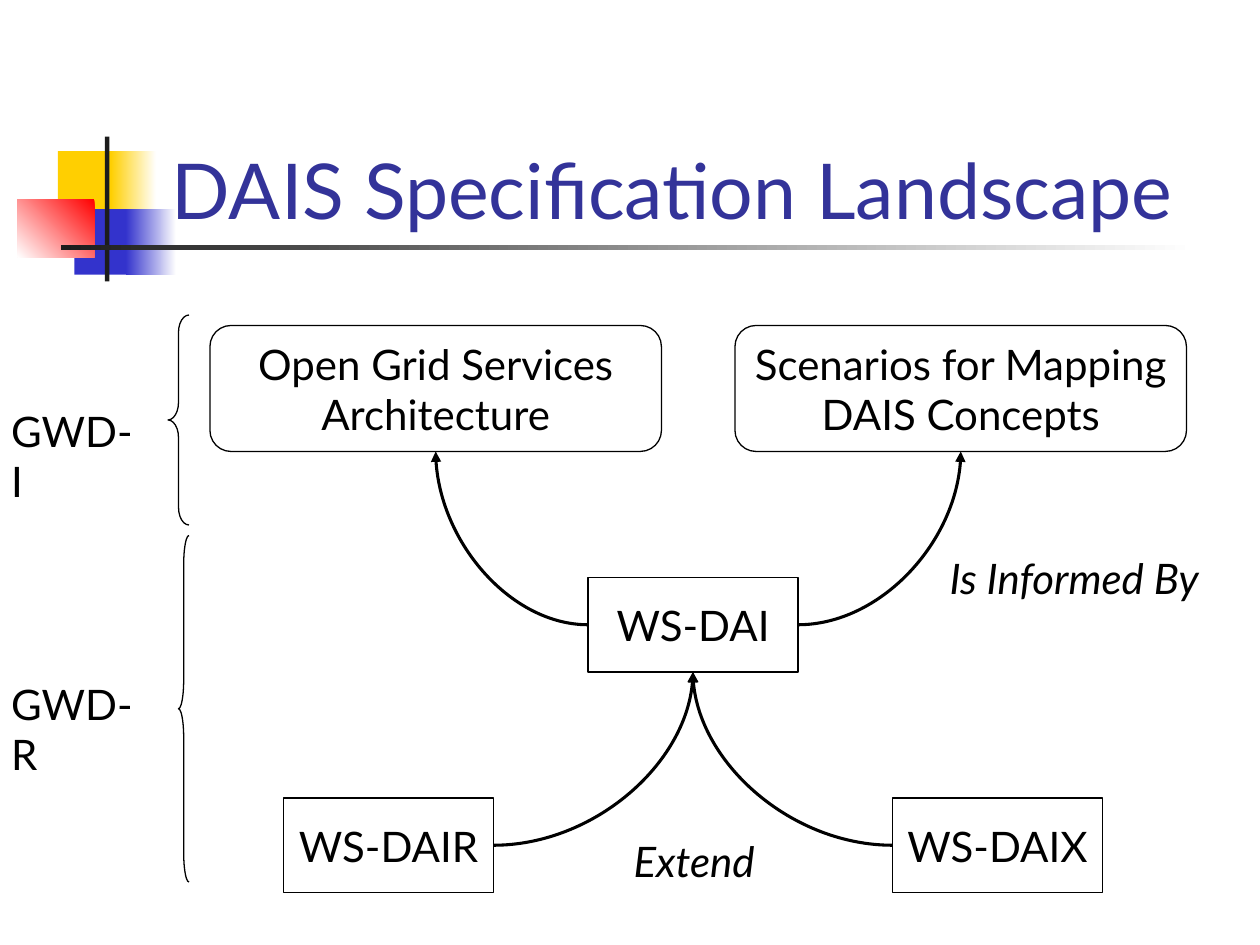
from typing import NamedTuple

from lxml import etree
from pptx import Presentation
from pptx.dml.color import RGBColor
from pptx.enum.shapes import MSO_CONNECTOR, MSO_SHAPE
from pptx.enum.text import MSO_ANCHOR, MSO_AUTO_SIZE, PP_ALIGN
from pptx.oxml.ns import qn
from pptx.util import Pt

RECT = MSO_SHAPE.RECTANGLE
ROUNDED = MSO_SHAPE.ROUNDED_RECTANGLE
BRACE = MSO_SHAPE.LEFT_BRACE
CURVE = MSO_CONNECTOR.CURVE
LEFT, CENTER = PP_ALIGN.LEFT, PP_ALIGN.CENTER
TOP, MIDDLE, BOTTOM = MSO_ANCHOR.TOP, MSO_ANCHOR.MIDDLE, MSO_ANCHOR.BOTTOM
NO_AUTOFIT = MSO_AUTO_SIZE.NONE
TITLE_ONLY = 5
SITE_LEFT, SITE_BOTTOM, SITE_RIGHT = 1, 2, 3

FONT = "Lato"
BLACK, WHITE, CHARCOAL = "000000", "FFFFFF", "1C1C1C"
YELLOW, BLUE, RED, TITLE_BLUE = "FFCF01", "3333CC", "FF0000", "333399"


class Area(NamedTuple):
    left: float
    top: float
    width: float
    height: float


class Ornament(NamedTuple):
    area: Area
    color: str
    fade_angle: int | None = None


class Node(NamedTuple):
    lines: list[str]
    area: Area
    kind: int = RECT


class Arrow(NamedTuple):
    source: str
    source_site: int
    target: str


class Label(NamedTuple):
    wording: str
    area: Area
    italic: bool = False


ORNAMENTS = [
    Ornament(Area(33.1, 86.4, 34.6, 37.4), YELLOW),
    Ornament(Area(63.4, 86.4, 25.9, 37.4), YELLOW, 0),
    Ornament(Area(42.5, 119.5, 33.1, 37.4), BLUE),
    Ornament(Area(72, 119.5, 28.8, 37.4), BLUE, 0),
    Ornament(Area(10, 113.8, 44, 33.2), RED, 225),
    Ornament(Area(60, 78, 2.5, 82.8), CHARCOAL),
    Ornament(Area(34.8, 140.2, 648, 2.5), CHARCOAL, 0),
]
NODES = {
    "architecture": Node(["Open Grid Services", "Architecture"],
                         Area(120, 186, 258, 72), ROUNDED),
    "scenarios": Node(["Scenarios for Mapping", "DAIS Concepts"],
                      Area(420, 186, 258, 72), ROUNDED),
    "core": Node(["WS-DAI"], Area(336, 330, 120, 54)),
    "relational": Node(["WS-DAIR"], Area(162, 456, 120, 54)),
    "xml": Node(["WS-DAIX"], Area(510, 456, 120, 54)),
}
ARROWS = [
    Arrow("core", SITE_RIGHT, "scenarios"),
    Arrow("core", SITE_LEFT, "architecture"),
    Arrow("relational", SITE_RIGHT, "core"),
    Arrow("xml", SITE_LEFT, "core"),
]
BRACES = [Area(96, 180, 12, 120), Area(102, 306, 6, 198)]
LABELS = [
    Label("Is Informed By", Area(535.5, 312, 170, 36), True),
    Label("Extend", Area(355, 474, 86, 36), True),
    Label("GWD-I", Area(-0.7, 228, 87, 36)),
    Label("GWD-R", Area(-0.7, 384, 94, 36)),
]


def rgb(code: str) -> RGBColor:
    return RGBColor.from_string(code)


def in_points(area: Area) -> list[Pt]:
    return [Pt(length) for length in area]


def write(frame, lines: list[str], align=LEFT, anchor=TOP, wrap=True,
          color=BLACK, **font_format) -> None:
    frame.text = "\n".join(lines)
    frame_format = {"word_wrap": wrap, "auto_size": NO_AUTOFIT,
                    "vertical_anchor": anchor}
    for name, value in frame_format.items():
        setattr(frame, name, value)
    text_format = {"name": FONT, "size": Pt(24), **font_format}
    for paragraph in frame.paragraphs:
        paragraph.alignment = align
        for name, value in text_format.items():
            setattr(paragraph.font, name, value)
        paragraph.font.color.rgb = rgb(color)


def add_ornament(slide, ornament: Ornament) -> None:
    block = slide.shapes.add_shape(RECT, *in_points(ornament.area))
    block.shadow.inherit = False
    block.line.fill.background()
    if ornament.fade_angle is None:
        block.fill.solid()
        block.fill.fore_color.rgb = rgb(ornament.color)
        return
    block.fill.gradient()
    block.fill.gradient_angle = ornament.fade_angle
    for stop, color in zip(block.fill.gradient_stops, (ornament.color, WHITE)):
        stop.color.rgb = rgb(color)


def add_outline(slide, kind: int, area: Area):
    """Add an unfilled preset shape with a thin black line."""
    outline = slide.shapes.add_shape(kind, *in_points(area))
    outline.shadow.inherit = False
    outline.fill.background()
    outline.line.color.rgb = rgb(BLACK)
    outline.line.width = Pt(0.75)
    return outline


def add_node(slide, node: Node):
    box = add_outline(slide, node.kind, node.area)
    if node.kind == ROUNDED:
        box.adjustments[0] = 0.167
    write(box.text_frame, node.lines, CENTER, MIDDLE, wrap=False)
    return box


def add_arrow(slide, arrow: Arrow, boxes: dict) -> None:
    """Draw a quarter curve from a box's side to the bottom of another."""
    curve = slide.shapes.add_connector(CURVE, 0, 0, 0, 0)
    curve.begin_connect(boxes[arrow.source], arrow.source_site)
    curve.end_connect(boxes[arrow.target], SITE_BOTTOM)
    curve.line.color.rgb = rgb(BLACK)
    curve.line.width = Pt(1.75)
    properties = curve.element.spPr
    properties.find(qn("a:prstGeom")).set("prst", "curvedConnector2")
    etree.SubElement(properties.find(qn("a:ln")), qn("a:tailEnd"), type="triangle")
    etree.SubElement(properties, qn("a:effectLst"))


def add_brace(slide, area: Area) -> None:
    brace = add_outline(slide, BRACE, area)
    brace.adjustments[0] = area.height / 12 / area.width


def add_label(slide, label: Label) -> None:
    box = slide.shapes.add_textbox(*in_points(label.area))
    write(box.text_frame, [label.wording], italic=label.italic)


def add_title(slide, wording: str, area: Area) -> None:
    title = slide.shapes.title
    title.left, title.top, title.width, title.height = in_points(area)
    write(title.text_frame, [wording], anchor=BOTTOM, color=TITLE_BLUE, size=Pt(44))


def main() -> None:
    deck = Presentation()
    deck.slide_width, deck.slide_height = Pt(720), Pt(540)
    slide = deck.slides.add_slide(deck.slide_layouts[TITLE_ONLY])
    for ornament in ORNAMENTS:
        add_ornament(slide, ornament)
    add_title(slide, "DAIS Specification Landscape", Area(91, 48, 613, 90))
    boxes = {key: add_node(slide, node) for key, node in NODES.items()}
    for arrow in ARROWS:
        add_arrow(slide, arrow, boxes)
    for area in BRACES:
        add_brace(slide, area)
    for label in LABELS:
        add_label(slide, label)
    deck.save("out.pptx")


if __name__ == "__main__":
    main()
